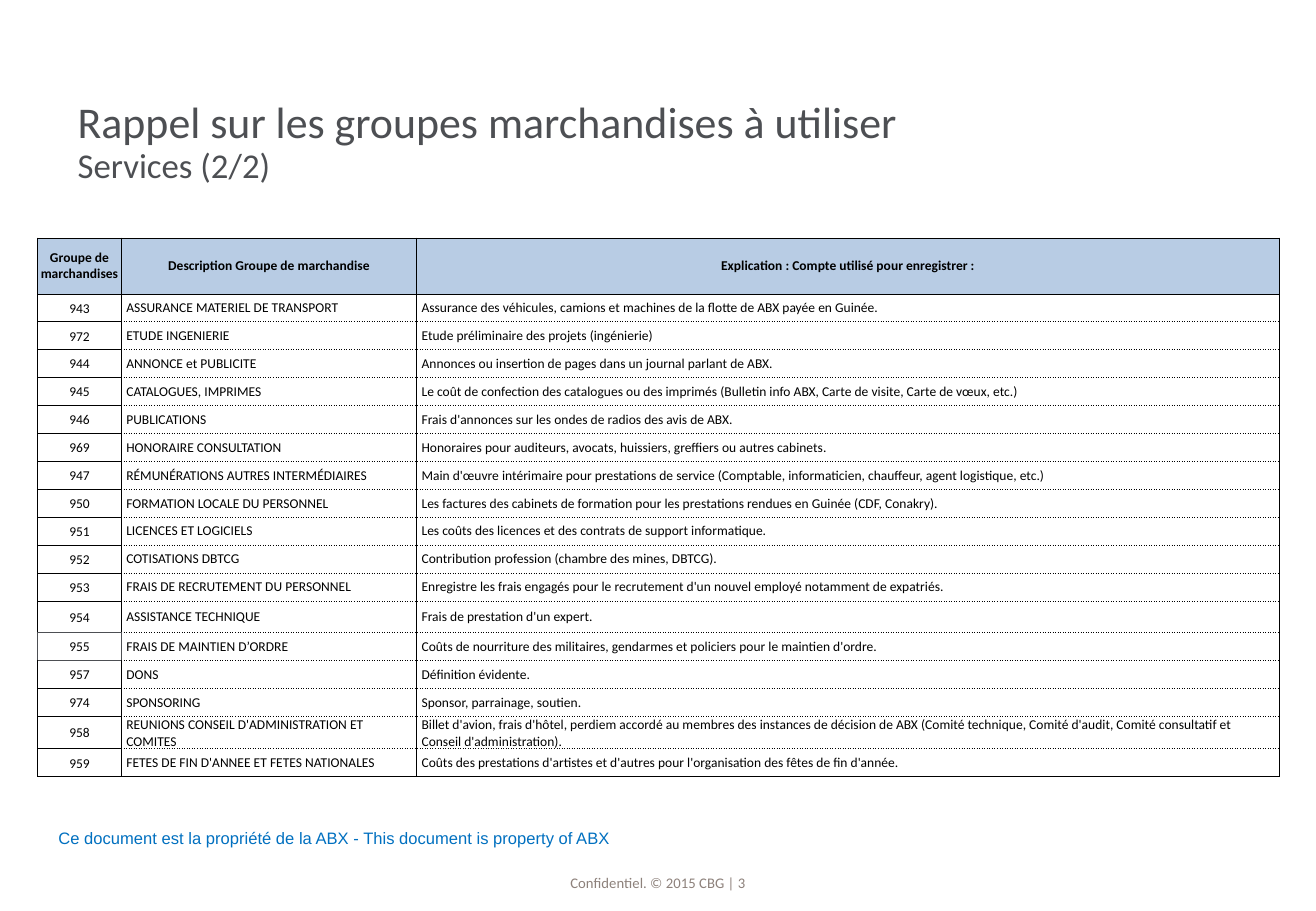
from lxml.etree import SubElement as Sub
from pptx import Presentation
from pptx.dml.color import RGBColor
from pptx.enum.text import MSO_ANCHOR as Anchor, PP_ALIGN as Align
from pptx.oxml.ns import qn
from pptx.util import Inches, Pt

BLACK = RGBColor(0x00, 0x00, 0x00)
WHITE = RGBColor(0xFF, 0xFF, 0xFF)
GREY = RGBColor(0x4D, 0x4F, 0x53)
TAUPE = RGBColor(0x8D, 0x81, 0x7B)
BLUE = RGBColor(0x00, 0x70, 0xC0)
PALE = RGBColor(0xB8, 0xCC, 0xE4)

SOLID = (BLACK, 0.5, "solid")
DOTS = (BLACK, 0.5, "sysDot")
THICK = (GREY, 1, "solid")

HEAD = (
    "Groupe de marchandises",
    "Description Groupe de marchandise",
    "Explication : Compte utilisé pour enregistrer :",
)
GROUPS = [
    ("943", "ASSURANCE MATERIEL DE TRANSPORT",
     "Assurance des véhicules, camions et machines de la flotte de ABX payée en Guinée."),
    ("972", "ETUDE INGENIERIE", "Etude préliminaire des projets (ingénierie)"),
    ("944", "ANNONCE et PUBLICITE",
     "Annonces ou insertion de pages dans un journal parlant de ABX."),
    ("945", "CATALOGUES, IMPRIMES",
     "Le coût de confection des catalogues ou des imprimés "
     "(Bulletin info ABX, Carte de visite, Carte de vœux, etc.)"),
    ("946", "PUBLICATIONS", "Frais d'annonces sur les ondes de radios des avis de ABX."),
    ("969", "HONORAIRE CONSULTATION",
     "Honoraires pour auditeurs, avocats, huissiers, greffiers ou autres cabinets."),
    ("947", "RÉMUNÉRATIONS AUTRES INTERMÉDIAIRES",
     "Main d'œuvre intérimaire pour prestations de service "
     "(Comptable, informaticien, chauffeur, agent logistique, etc.)"),
    ("950", "FORMATION LOCALE DU PERSONNEL",
     "Les factures des cabinets de formation pour les prestations rendues "
     "en Guinée (CDF, Conakry)."),
    ("951", "LICENCES ET LOGICIELS",
     "Les coûts des licences et des contrats de support informatique."),
    ("952", "COTISATIONS DBTCG", "Contribution profession (chambre des mines, DBTCG)."),
    ("953", "FRAIS DE RECRUTEMENT DU PERSONNEL",
     "Enregistre les frais engagés pour le recrutement d'un nouvel employé "
     "notamment de expatriés."),
    ("954", "ASSISTANCE TECHNIQUE", "Frais de prestation d'un expert."),
    ("955", "FRAIS DE MAINTIEN D’ORDRE",
     "Coûts de nourriture des militaires, gendarmes et policiers pour le maintien d'ordre."),
    ("957", "DONS", "Définition évidente."),
    ("974", "SPONSORING", "Sponsor, parrainage, soutien."),
    ("958", "REUNIONS CONSEIL D'ADMINISTRATION ET COMITES",
     "Billet d'avion, frais d'hôtel, perdiem accordé au membres des instances de décision "
     "de ABX (Comité technique, Comité d'audit, Comité consultatif et "
     "Conseil d'administration)."),
    ("959", "FETES DE FIN D'ANNEE ET FETES NATIONALES",
     "Coûts des prestations d'artistes et d'autres pour l'organisation "
     "des fêtes de fin d'année."),
]
WIDTHS = (0.69, 2.43, 7.1)
HEIGHTS = {"954": 0.26, "958": 0.25}


class Deck:
    font = "Calibri"

    def __init__(self, wide, high):
        self.prs = Presentation()
        self.prs.slide_width = Inches(wide)
        self.prs.slide_height = Inches(high)
        self.slide = self.prs.slides.add_slide(self.prs.slide_layouts[6])

    def inset(self, part, left, top, right, base):
        part.margin_left, part.margin_top = Inches(left), Inches(top)
        part.margin_right, part.margin_bottom = Inches(right), Inches(base)

    def style(self, run, size, color, bold=False, font=None):
        run.font.name = font or self.font
        run.font.size = Pt(size)
        run.font.bold = bold
        run.font.color.rgb = color

    def text(self, area, words, sizes, color, align=Align.CENTER,
             anchor=Anchor.MIDDLE, pads=(0.1, 0.05), font=None, space=1):
        frame = self.slide.shapes.add_textbox(*map(Inches, area)).text_frame
        frame.word_wrap = True
        frame.vertical_anchor = anchor
        self.inset(frame, *pads, *pads)
        line = frame.paragraphs[0]
        line.text = words
        line.alignment = align
        line.line_spacing = space
        for run, size in zip(line.runs, sizes):
            self.style(run, size, color, font=font)

    def edges(self, cell, lines):
        props = cell._tc.get_or_add_tcPr()
        for side, (color, width, dash) in zip("LRTB", lines):
            edge = Sub(props, qn(f"a:ln{side}"), w=str(Pt(width)))
            fill = Sub(edge, qn("a:solidFill"))
            Sub(fill, qn("a:srgbClr"), val=str(color))
            Sub(edge, qn("a:prstDash"), val=dash)

    def cell(self, cell, words, pads, lines, fill, center, bold):
        self.edges(cell, lines)
        cell.fill.solid()
        cell.fill.fore_color.rgb = fill
        cell.vertical_anchor = Anchor.MIDDLE
        self.inset(cell, *pads)
        line = cell.text_frame.paragraphs[0]
        line.text = words
        line.alignment = Align.CENTER if center else Align.LEFT
        self.style(line.runs[0], 8, BLACK, bold)

    def lines(self, row, col):
        code = GROUPS[row - 1][0] if row else ""
        if row == 0:
            return [SOLID] * 4
        if col == 0:
            return {
                "954": [SOLID, SOLID, SOLID, THICK],
                "955": [THICK] * 4,
                "957": [SOLID, SOLID, THICK, SOLID],
            }.get(code, [SOLID] * 4)
        left = THICK if code == "955" and col == 1 else SOLID
        top = SOLID if row == 1 else DOTS
        base = SOLID if row == len(GROUPS) else DOTS
        return [left, SOLID, top, base]

    def table(self, left, top):
        highs = [0.46] + [HEIGHTS.get(code, 0.23) for code, *_ in GROUPS]
        area = (left, top, sum(WIDTHS), sum(highs))
        grid = self.slide.shapes.add_table(
            len(highs), len(WIDTHS), *map(Inches, area)).table
        grid.first_row = grid.horz_banding = False
        for col, width in zip(grid.columns, WIDTHS):
            col.width = Inches(width)
        for row, high in zip(grid.rows, highs):
            row.height = Inches(high)
        for r, words in enumerate([HEAD] + GROUPS):
            for c, word in enumerate(words):
                head = r == 0
                pads = (0,) * 4 if head else (0.04, 0, 0.04, 0) if c else (0.01, 0.01, 0.01, 0)
                self.cell(grid.cell(r, c), word, pads, self.lines(r, c),
                          PALE if head else WHITE, head or c == 0, head)


def main():
    deck = Deck(10.83, 7.5)
    deck.text((3.68, 7.11, 3.47, 0.23), "Confidentiel. © 2015 CBG | 3", [8.7], TAUPE,
              anchor=Anchor.BOTTOM, pads=(0, 0))
    deck.text((0.34, 6.74, 4.82, 0.32),
              "Ce document est la propriété de la ABX - This document is property of ABX",
              [9.8], BLUE, font="Arial")
    deck.text((0.54, 0.67, 9.75, 1.02),
              "Rappel sur les groupes marchandises à utiliser\vServices (2/2)",
              [26, 20.6], GREY, align=Align.LEFT, space=0.9)
    deck.table(0.31, 1.96)
    deck.prs.save("out.pptx")


if __name__ == "__main__":
    main()
